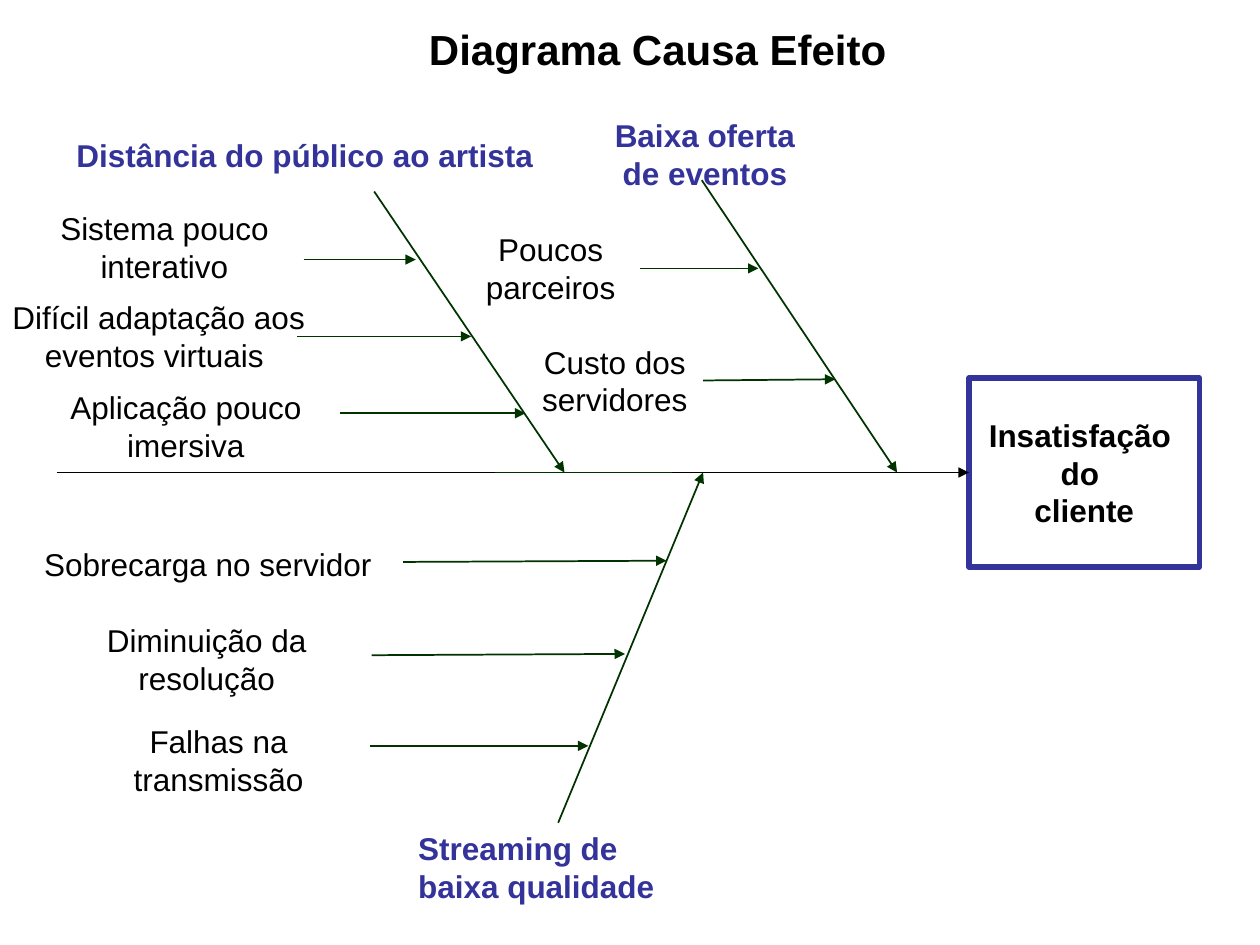
from dataclasses import dataclass
from lxml import etree
from pptx import Presentation
from pptx.dml.color import RGBColor
from pptx.enum import shapes, text
from pptx.oxml import ns
from pptx.util import Inches, Pt


@dataclass(frozen=True)
class Theme:
    font: str = "Arial"
    ink: RGBColor = RGBColor(0, 0, 0)
    blue: RGBColor = RGBColor(0x33, 0x33, 0x99)
    green: RGBColor = RGBColor(0, 0x33, 0)
    head: int = 24
    body: int = 18


theme = Theme()
deck = Presentation()
deck.slide_width, deck.slide_height = Inches(10), Inches(7.5)
slide = deck.slides.add_slide(deck.slide_layouts[5])


def write(shape, words, size=theme.body, color=theme.ink, bold=False,
          align=text.PP_ALIGN.CENTER, anchor=text.MSO_ANCHOR.TOP, wrap=True):
    frame = shape.text_frame
    frame.word_wrap = wrap
    frame.vertical_anchor = anchor
    frame.text = words
    for para in frame.paragraphs:
        para.alignment = align
        font = para.font
        font.name, font.size, font.bold = theme.font, Pt(size), bold
        font.color.rgb = color


def link(start, end, color=theme.green, arrow=True):
    line = slide.shapes.add_connector(
        shapes.MSO_CONNECTOR.STRAIGHT, *map(Inches, start + end))
    line.line.color.rgb = color
    line.line.width = Pt(1)
    props = line._element.spPr
    if arrow:
        etree.SubElement(props.find(ns.qn("a:ln")), ns.qn("a:tailEnd"), type="triangle")
    etree.SubElement(props, ns.qn("a:effectLst"))


title = slide.shapes.title
title.left, title.top, title.width, title.height = map(Inches, (1.13, 0.14, 8.18, 0.5))
write(title, "Diagrama Causa Efeito", size=theme.head, bold=True,
      anchor=text.MSO_ANCHOR.MIDDLE)

effect = slide.shapes.add_shape(
    shapes.MSO_SHAPE.RECTANGLE, *map(Inches, (7.69, 3, 1.83, 1.5)))
effect.shadow.inherit = False
effect.fill.background()
effect.line.color.rgb = theme.blue
effect.line.width = Pt(3)
write(effect, "Insatisfação \ndo \ncliente", bold=True,
      anchor=text.MSO_ANCHOR.MIDDLE, wrap=False)

axis = 3.75
spine = [
    (0.45, 3.93, theme.ink, False),
    (3.93, 5.33, theme.green, False),
    (5.33, 7.03, theme.ink, False),
    (7.03, 7.69, theme.ink, True),
]
for left, right, color, arrow in spine:
    link((left, axis), (right, axis), color, arrow)

mid, near = text.PP_ALIGN.CENTER, text.PP_ALIGN.LEFT
bones = [
    ("Distância do público ao artista", (0.47, 1.03, 3.9, 0.4), mid, (2.97, 1.52), 4.48),
    ("Baixa oferta de eventos", (4.73, 0.87, 1.73, 0.7), mid, (5.57, 1.43), 7.12),
    ("Streaming de baixa qualidade", (3.22, 6.53, 2.13, 0.7), near, (4.43, 6.53), 5.58),
]
for words, area, align, start, tip in bones:
    label = slide.shapes.add_textbox(*map(Inches, area))
    write(label, words, color=theme.blue, bold=True, align=align)
    link(start, (tip, axis))

causes = [
    ("Sistema pouco interativo", (0.11, 1.61, 2.39, 0.7), (2.41, 2.06), (3.3, 2.06)),
    (" Difícil adaptação aos eventos virtuais", (-0.16, 2.32, 2.77, 0.7), (2.36, 2.67), (3.74, 2.67)),
    ("Aplicação pouco imersiva", (0.35, 3.03, 2.25, 0.7), (2.7, 3.28), (4.17, 3.28)),
    ("Poucos parceiros", (3.67, 1.78, 1.4, 0.7), (5.08, 2.13), (6.02, 2.13)),
    ("Custo dos servidores ", (4.18, 2.67, 1.4, 0.7), (5.58, 3.02), (6.63, 3.01)),
    ("Sobrecarga no servidor", (0.24, 4.28, 2.82, 0.4), (3.2, 4.46), (5.29, 4.45)),
    ("Diminuição da resolução", (0.5, 4.88, 2.28, 0.7), (2.95, 5.2), (4.96, 5.19)),
    ("Falhas na transmissão", (0.49, 5.68, 2.49, 0.7), (2.94, 5.92), (4.67, 5.92)),
]
for words, area, start, end in causes:
    label = slide.shapes.add_textbox(*map(Inches, area))
    write(label, words)
    link(start, end)

deck.save("out.pptx")
